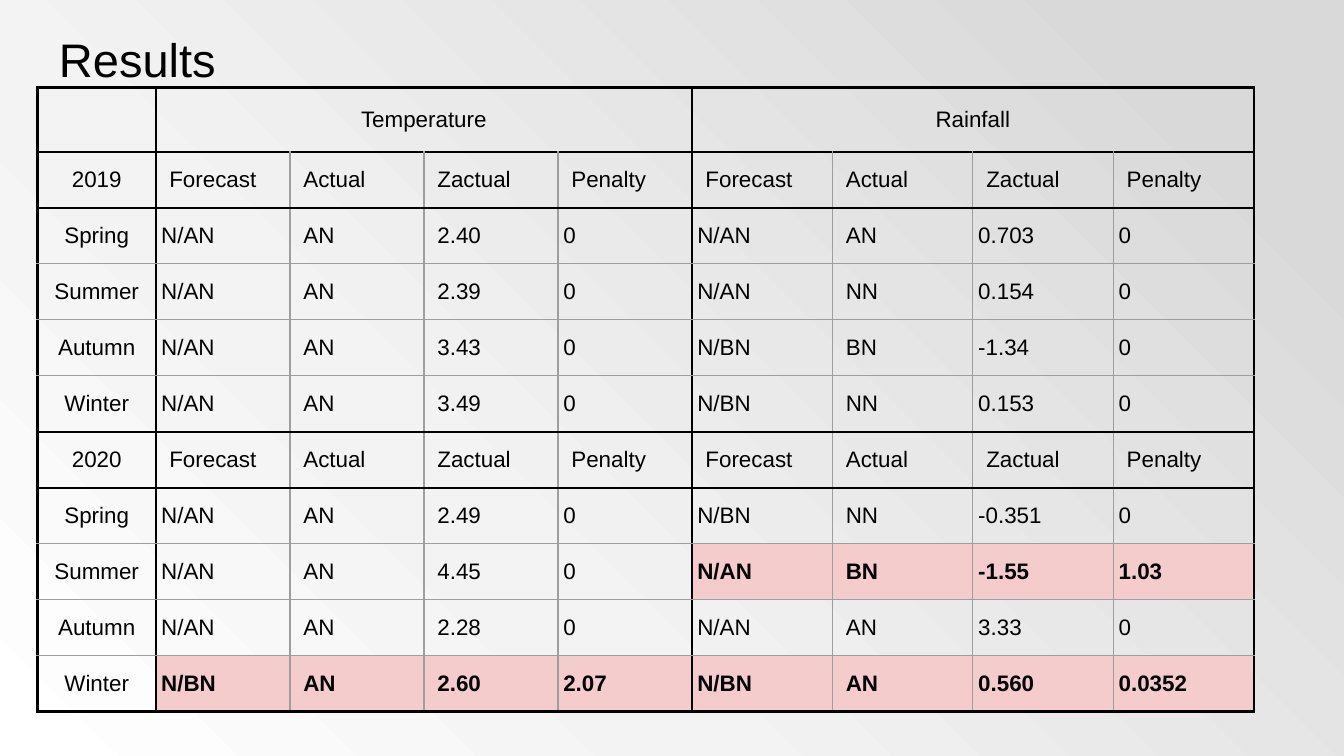
from dataclasses import dataclass

import pptx
import pptx.dml.color
import pptx.enum.text
import pptx.oxml
import pptx.oxml.ns
import pptx.table
import pptx.util
from lxml import etree

Inches, Pt = pptx.util.Inches, pptx.util.Pt
Anchor, Align = pptx.enum.text.MSO_ANCHOR, pptx.enum.text.PP_ALIGN

COLORS = {"text": "000000", "heavy": "000000", "light": "9E9E9E", "miss": "F4CCCC"}
BACKGROUND_STOPS = [(0, "FFFFFF"), (34, "F3F3F3"), (89, "D9D9D9"), (100, "D9D9D9")]
FONT = "Arial"
SLIDE_WIDTH = 10
SLIDE_HEIGHT = SLIDE_WIDTH * 9 / 16

COLUMN_WIDTHS = [0.88] + [3.99 / 4] * 4 + [4.18 / 4] * 4
ROW_HEIGHTS = [0.48] + [5 / 12] * 10
HEAVY_COLUMN_EDGES = {0, 1, 5, 9}
HEAVY_ROW_EDGES = {0, 1, 2, 6, 7, 11}
TIGHT_COLUMNS = {1, 4, 5, 7, 8}
GROUPS = {1: "Temperature", 5: "Rainfall"}
MEASURES = ("Forecast", "Actual", "Zactual", "Penalty")


@dataclass(frozen=True)
class Season:
    name: str
    temperature: tuple[str, ...]
    rainfall: tuple[str, ...]


YEARS = {
    "2019": [
        Season("Spring", ("N/AN", "AN", "2.40", "0"), ("N/AN", "AN", "0.703", "0")),
        Season("Summer", ("N/AN", "AN", "2.39", "0"), ("N/AN", "NN", "0.154", "0")),
        Season("Autumn", ("N/AN", "AN", "3.43", "0"), ("N/BN", "BN", "-1.34", "0")),
        Season("Winter", ("N/AN", "AN", "3.49", "0"), ("N/BN", "NN", "0.153", "0")),
    ],
    "2020": [
        Season("Spring", ("N/AN", "AN", "2.49", "0"), ("N/BN", "NN", "-0.351", "0")),
        Season("Summer", ("N/AN", "AN", "4.45", "0"), ("N/AN", "BN", "-1.55", "1.03")),
        Season("Autumn", ("N/AN", "AN", "2.28", "0"), ("N/AN", "AN", "3.33", "0")),
        Season("Winter", ("N/BN", "AN", "2.60", "2.07"), ("N/BN", "AN", "0.560", "0.0352")),
    ],
}


def style_paragraph(paragraph, size: float, bold: bool = False) -> None:
    font = paragraph.font
    font.name, font.size, font.bold = FONT, Pt(size), bold
    font.color.rgb = pptx.dml.color.RGBColor.from_string(COLORS["text"])


def set_background(slide) -> None:
    """Radial gradient that spreads from the bottom left corner."""
    stops = "".join(
        f'<a:gs pos="{share * 1000}"><a:srgbClr val="{color}"/></a:gs>'
        for share, color in BACKGROUND_STOPS
    )
    background = pptx.oxml.parse_xml(
        f'<p:bg {pptx.oxml.ns.nsdecls("p", "a")}><p:bgPr><a:gradFill><a:gsLst>{stops}</a:gsLst>'
        '<a:path path="circle"><a:fillToRect t="100000" r="100000"/></a:path>'
        "</a:gradFill><a:effectLst/></p:bgPr></p:bg>"
    )
    slide.element.cSld.insert(0, background)


def add_title(slide, text: str) -> None:
    box = slide.shapes.add_textbox(Inches(0.34), Inches(0.12), Inches(9.32), Inches(0.63))
    frame = box.text_frame
    frame.word_wrap = True
    frame.vertical_anchor = Anchor.BOTTOM
    frame.margin_left = frame.margin_right = Inches(0.1)
    frame.margin_top = frame.margin_bottom = Inches(0.1)
    frame.text = text
    style_paragraph(frame.paragraphs[0], 25.2)


def add_border(cell: pptx.table._Cell, side: str, heavy: bool) -> None:
    color, width = (COLORS["heavy"], 1.5) if heavy else (COLORS["light"], 0.75)
    qn = pptx.oxml.ns.qn
    properties = cell._tc.get_or_add_tcPr()
    line = etree.SubElement(properties, qn(f"a:ln{side}"), w=str(Pt(width)))
    fill = etree.SubElement(line, qn("a:solidFill"))
    etree.SubElement(fill, qn("a:srgbClr"), val=color)


def format_cell(cell: pptx.table._Cell, row: int, column: int, text: str,
                tight: bool = False, missed: bool = False) -> None:
    cell.text = text
    cell.vertical_anchor = Anchor.MIDDLE
    margin = Inches(0.04 if tight else 0.1)
    cell.margin_left = cell.margin_right = cell.margin_top = cell.margin_bottom = margin
    paragraph = cell.text_frame.paragraphs[0]
    paragraph.alignment = Align.CENTER if row == 0 or column == 0 else Align.LEFT
    style_paragraph(paragraph, 12, bold=missed)

    add_border(cell, "L", row == 0 or column in HEAVY_COLUMN_EDGES)
    add_border(cell, "R", row == 0 or column + 1 in HEAVY_COLUMN_EDGES)
    add_border(cell, "T", row in HEAVY_ROW_EDGES)
    add_border(cell, "B", row + 1 in HEAVY_ROW_EDGES)
    if missed:
        cell.fill.solid()
        cell.fill.fore_color.rgb = pptx.dml.color.RGBColor.from_string(COLORS["miss"])
    else:
        cell.fill.background()


def add_results_table(slide) -> None:
    frame = slide.shapes.add_table(
        len(ROW_HEIGHTS), len(COLUMN_WIDTHS), Inches(0.28), Inches(0.65),
        Inches(sum(COLUMN_WIDTHS)), Inches(sum(ROW_HEIGHTS)),
    )
    table = frame.table
    table.first_row = table.horz_banding = False
    for column, width in zip(table.columns, COLUMN_WIDTHS):
        column.width = Inches(width)
    for row, height in zip(table.rows, ROW_HEIGHTS):
        row.height = Inches(height)

    format_cell(table.cell(0, 0), 0, 0, "")
    for column, group in GROUPS.items():
        table.cell(0, column).merge(table.cell(0, column + len(MEASURES) - 1))
        format_cell(table.cell(0, column), 0, column, group)

    row = 1
    for year, seasons in YEARS.items():
        for column, text in enumerate((year, *MEASURES, *MEASURES)):
            format_cell(table.cell(row, column), row, column, text)
        for row, season in enumerate(seasons, row + 1):
            format_cell(table.cell(row, 0), row, 0, season.name)
            for start, values in zip(GROUPS, (season.temperature, season.rainfall)):
                missed = values[-1] != "0"
                for column, text in enumerate(values, start):
                    format_cell(table.cell(row, column), row, column, text,
                                tight=column in TIGHT_COLUMNS, missed=missed)
        row += 1


def main() -> None:
    presentation = pptx.Presentation()
    presentation.slide_width = Inches(SLIDE_WIDTH)
    presentation.slide_height = Inches(SLIDE_HEIGHT)
    slide = presentation.slides.add_slide(presentation.slide_layouts[6])
    set_background(slide)
    add_title(slide, "Results")
    add_results_table(slide)
    presentation.save("out.pptx")


if __name__ == "__main__":
    main()
